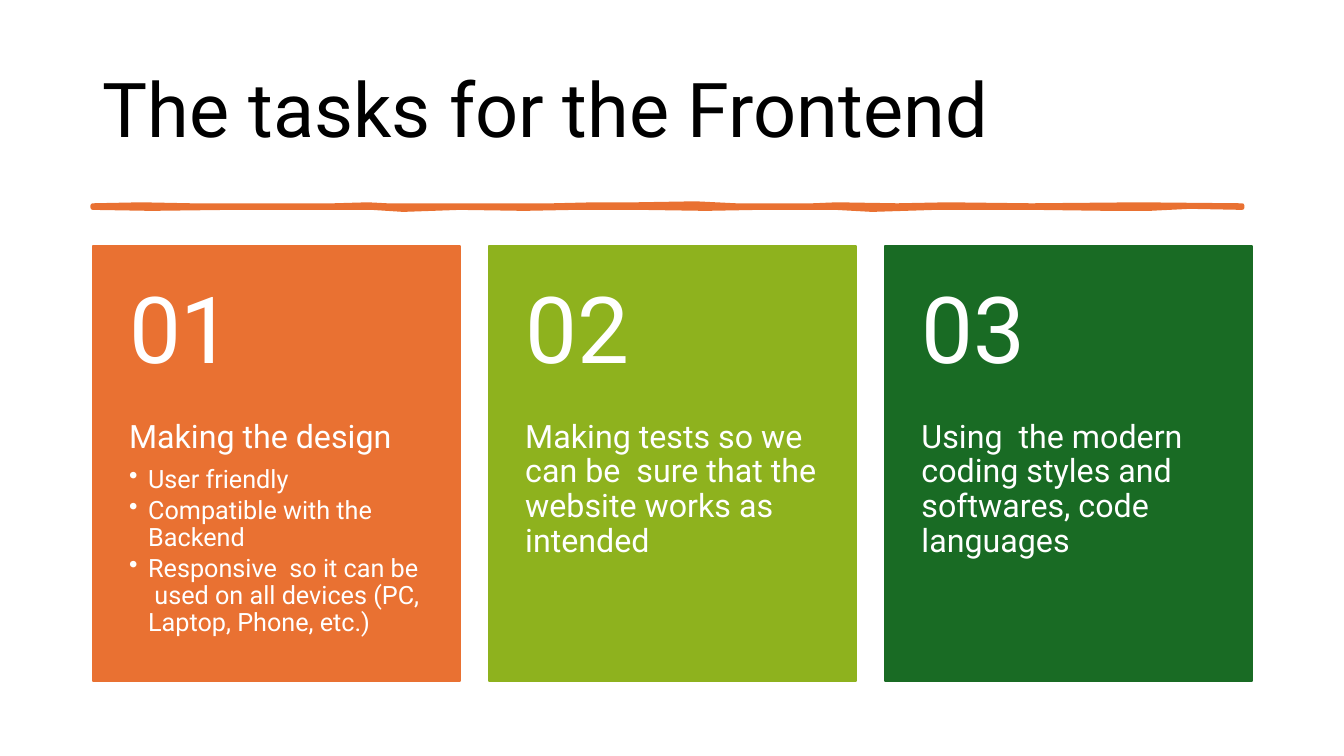
from dataclasses import dataclass

import pptx
import pptx.dml.color
import pptx.enum.text
import pptx.oxml
import pptx.oxml.ns
import pptx.util
from pptx.enum.shapes import MSO_SHAPE
from pptx.enum.text import MSO_ANCHOR, PP_ALIGN
from pptx.util import Inches


@dataclass(frozen=True)
class Theme:
    font: str = "Roboto"
    ink: str = "000000"
    paper: str = "FFFFFF"
    orange: str = "E97132"
    lime: str = "8EB21E"
    green: str = "196B24"
    title_size: int = 54
    number_size: int = 66
    task_size: int = 23
    detail_size: int = 18


THEME = Theme()
LEFT = 0.92
CARD_TOP = 2.44
CARD_WIDTH = 3.64
CARD_HEIGHT = 4.32
CARD_PITCH = 3.93
NUMBER_HEIGHT = 1.73
CARD_INSET = 0.36

TASKS = [
    (THEME.orange, "Making the design", [
        "User friendly",
        "Compatible with the Backend",
        "Responsive  so it can be  used on all devices (PC, Laptop, Phone, etc.)",
    ]),
    (THEME.lime, "Making tests so we can be  sure that the website works as intended", []),
    (THEME.green, "Using  the modern coding styles and  softwares, code languages", []),
]

UPPER_EDGE = [
    (0.92, 2.04), (1.4, 2.03), (1.9, 2.04), (2.44, 2.04), (3.31, 2.04),
    (3.65, 2.03), (3.84, 2.04), (4.6, 2.04), (5.48, 2.04), (5.9, 2.03),
    (6.31, 2.03), (6.9, 2.02), (7.3, 2.04), (8.06, 2.04), (8.3, 2.03),
    (8.9, 2.04), (9.4, 2.03), (10.23, 2.04), (11.3, 2.03), (12.32, 2.04),
]
LOWER_EDGE = [
    (12.32, 2.06), (11.8, 2.05), (11.4, 2.07), (11.0, 2.07), (10.26, 2.06),
    (9.28, 2.06), (8.65, 2.08), (8.29, 2.06), (7.53, 2.06), (7.0, 2.07),
    (6.35, 2.06), (5.7, 2.06), (5.2, 2.07), (4.56, 2.06), (4.0, 2.08),
    (3.69, 2.06), (2.89, 2.06), (2.28, 2.06), (1.5, 2.07), (0.92, 2.06),
]


def rgb(color):
    return pptx.dml.color.RGBColor.from_string(color)


def paint(shape, color, line_width):
    shape.shadow.inherit = False
    shape.fill.solid()
    shape.fill.fore_color.rgb = rgb(color)
    shape.line.color.rgb = rgb(color)
    shape.line.width = pptx.util.Pt(line_width)


def write(paragraph, text, *, size, color, space_after=0, bullet=False):
    paragraph.alignment = PP_ALIGN.LEFT
    paragraph.line_spacing = 0.9
    paragraph.space_before = pptx.util.Pt(0)
    paragraph.space_after = pptx.util.Pt(space_after)
    if bullet:
        paragraph.level = 1
        properties = paragraph._p.get_or_add_pPr()
        properties.set("marL", str(Inches(0.19)))
        properties.set("indent", str(-Inches(0.19)))
        mark = pptx.oxml.parse_xml(
            f'<a:buChar {pptx.oxml.ns.nsdecls("a")} char="•"/>'
        )
        properties.append(mark)
    run = paragraph.add_run()
    run.text = text
    run.font.name = THEME.font
    run.font.size = pptx.util.Pt(size)
    run.font.color.rgb = rgb(color)


def add_text_area(slide, left, top, height, anchor, inset_top, inset_bottom):
    area = slide.shapes.add_textbox(
        Inches(left), Inches(top), Inches(CARD_WIDTH), Inches(height)
    )
    frame = area.text_frame
    frame.word_wrap = True
    frame.vertical_anchor = anchor
    frame.margin_left = frame.margin_right = Inches(CARD_INSET)
    frame.margin_top = Inches(inset_top)
    frame.margin_bottom = Inches(inset_bottom)
    return frame


def set_title(slide, text):
    title = slide.shapes.title
    title.left, title.top = Inches(LEFT), Inches(0.4)
    title.width, title.height = Inches(11.5), Inches(1.45)
    frame = title.text_frame
    frame.word_wrap = True
    frame.auto_size = pptx.enum.text.MSO_AUTO_SIZE.NONE
    frame.vertical_anchor = MSO_ANCHOR.MIDDLE
    write(frame.paragraphs[0], text, size=THEME.title_size, color=THEME.ink)


def add_brush_stroke(slide):
    outline = [(Inches(x), Inches(y)) for x, y in UPPER_EDGE + LOWER_EDGE]
    builder = slide.shapes.build_freeform(*outline[0])
    builder.add_line_segments(outline[1:], close=True)
    paint(builder.convert_to_shape(), THEME.orange, 3.25)


def add_task_card(slide, index, color, task, details):
    left = LEFT + index * CARD_PITCH
    card = slide.shapes.add_shape(
        MSO_SHAPE.RECTANGLE, Inches(left), Inches(CARD_TOP),
        Inches(CARD_WIDTH), Inches(CARD_HEIGHT),
    )
    paint(card, color, 1.5)

    description = add_text_area(
        slide, left, CARD_TOP + NUMBER_HEIGHT, CARD_HEIGHT - NUMBER_HEIGHT,
        MSO_ANCHOR.TOP, 0, CARD_INSET,
    )
    write(description.paragraphs[0], task, size=THEME.task_size,
          color=THEME.paper, space_after=8)
    for detail in details:
        write(description.add_paragraph(), detail, size=THEME.detail_size,
              color=THEME.paper, space_after=2.7, bullet=True)

    number = add_text_area(
        slide, left, CARD_TOP, NUMBER_HEIGHT, MSO_ANCHOR.MIDDLE, 0.18, 0.18
    )
    write(number.paragraphs[0], f"{index + 1:02d}", size=THEME.number_size,
          color=THEME.paper)


def main():
    deck = pptx.Presentation()
    deck.slide_width, deck.slide_height = Inches(13.33), Inches(7.5)
    slide = deck.slides.add_slide(deck.slide_layouts[5])
    slide.background.fill.solid()
    slide.background.fill.fore_color.rgb = rgb(THEME.paper)
    set_title(slide, "The tasks for the Frontend")
    add_brush_stroke(slide)
    for index, (color, task, details) in enumerate(TASKS):
        add_task_card(slide, index, color, task, details)
    deck.save("out.pptx")


if __name__ == "__main__":
    main()
